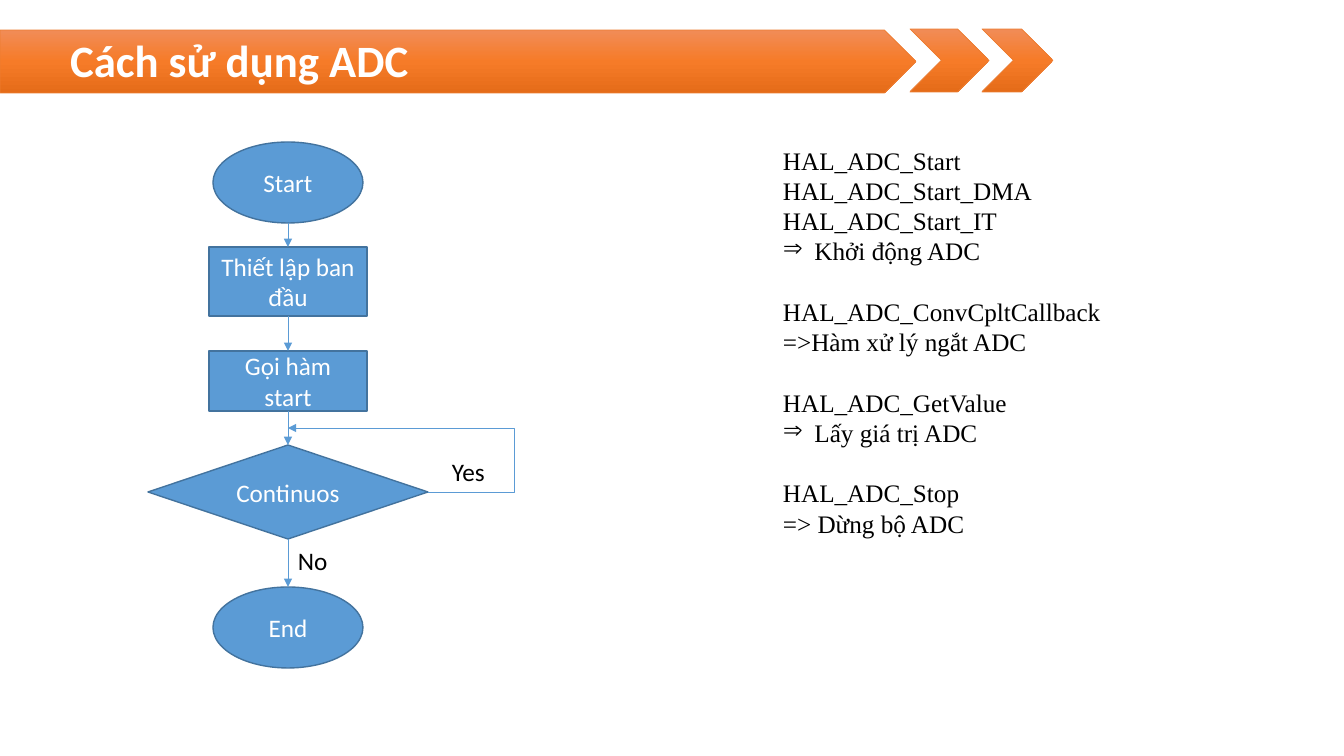
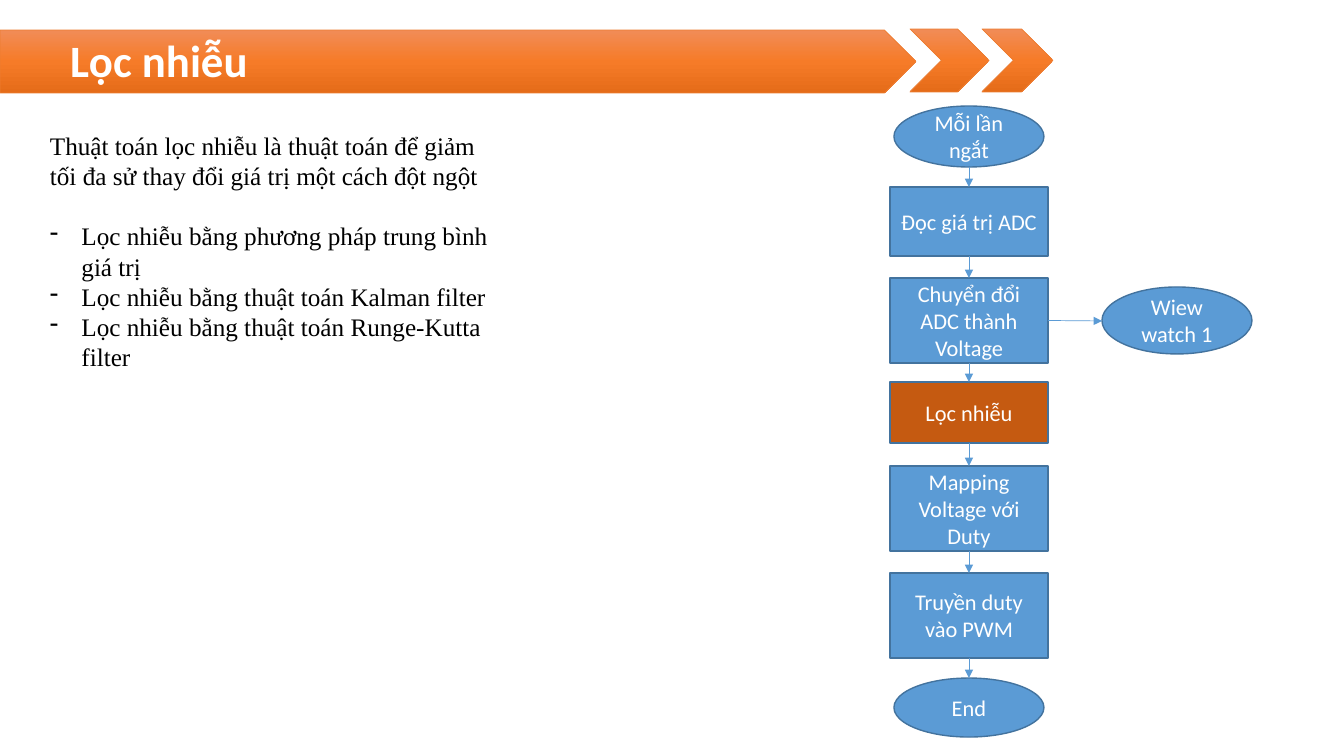
import copy

import pptx
import pptx.dml.color
import pptx.enum.shapes
import pptx.enum.text
import pptx.oxml
import pptx.oxml.ns
import pptx.util

RGB = pptx.dml.color.RGBColor
SHAPE = pptx.enum.shapes.MSO_SHAPE
CONNECTOR = pptx.enum.shapes.MSO_CONNECTOR
ALIGN = pptx.enum.text.PP_ALIGN
ANCHOR = pptx.enum.text.MSO_ANCHOR
Pt = pptx.util.Pt
qn = pptx.oxml.ns.qn

WHITE = RGB(0xFF, 0xFF, 0xFF)
BLACK = RGB(0, 0, 0)
BLUE = RGB(0x5B, 0x9B, 0xD5)
BLUE_EDGE = RGB(0x43, 0x73, 0x9E)
RUST = RGB(0xC5, 0x5A, 0x11)
ORANGE_EDGE = RGB(0xED, 0x7D, 0x31)
BAND_STOPS = [(0, RGB(0xF1, 0x8C, 0x57)), (0.5, RGB(0xF6, 0x7B, 0x28)), (1, RGB(0xE5, 0x6C, 0x19))]
BAND = [(SHAPE.PENTAGON, 0, 30, 916, 63), (SHAPE.CHEVRON, 910, 29, 79, 63), (SHAPE.CHEVRON, 982, 29, 71, 63)]

PX = 914400 / 100.8
NOTE_LINE = Pt(21.6)


def px(*lengths):
    return [round(length * PX) for length in lengths]


def write(paragraph, text, size, color, font="Calibri"):
    run = paragraph.add_run()
    run.text = text
    run.font.size = Pt(size)
    run.font.name = font
    run.font.color.rgb = color
    return run


adc_steps = [
    ("Start", SHAPE.OVAL, 288, 142, 150, 81, BLUE),
    ("Thiết lập ban đầu", SHAPE.RECTANGLE, 288, 247, 158, 69, BLUE),
    ("Gọi hàm start", SHAPE.RECTANGLE, 288, 351, 158, 60, BLUE),
    ("Continuos", SHAPE.FLOWCHART_DECISION, 288, 445, 280, 94, BLUE),
    ("End", SHAPE.OVAL, 288, 587, 150, 81, BLUE),
]
adc_notes = [
    ("", ["HAL_ADC_Start", "HAL_ADC_Start_DMA", "HAL_ADC_Start_IT"]),
    ("⇒", ["Khởi động ADC"]),
    ("gap", ["HAL_ADC_ConvCpltCallback"]),
    ("", ["=>Hàm xử lý ngắt ADC"]),
    ("gap", ["HAL_ADC_GetValue"]),
    ("⇒", ["Lấy giá trị ADC"]),
    ("gap", ["HAL_ADC_Stop"]),
    ("", ["=> Dừng bộ ADC"]),
]
filter_steps = [
    ("Mỗi lần ngắt", SHAPE.OVAL, 969, 106, 150, 61, BLUE),
    ("Đọc giá trị ADC", SHAPE.RECTANGLE, 969, 187, 158, 69, BLUE),
    ("Chuyển đổi ADC thành Voltage", SHAPE.RECTANGLE, 969, 278, 158, 85, BLUE),
    ("Lọc nhiễu", SHAPE.RECTANGLE, 969, 382, 158, 61, RUST),
    ("Mapping Voltage với Duty", SHAPE.RECTANGLE, 969, 466, 158, 85, BLUE),
    ("Truyền duty vào PWM", SHAPE.RECTANGLE, 969, 573, 158, 85, BLUE),
    ("End", SHAPE.OVAL, 969, 678, 150, 59, BLUE),
    ("Wiew watch 1", SHAPE.OVAL, 1177, 287, 150, 67, BLUE),
]
filter_notes = [
    ("", ["Thuật toán lọc nhiễu là thuật toán để giảm tối đa sử thay đổi giá trị một cách đột ngột"]),
    ("-", ["Lọc nhiễu bằng phương pháp trung bình giá trị", "Lọc nhiễu bằng thuật toán Kalman filter",
           "Lọc nhiễu bằng thuật toán Runge-Kutta filter"]),
]
pages = [
    ("Cách sử dụng ADC", 18, adc_steps, adc_notes, (773, 140, 465, 437),
     [("Yes", 442, 451), ("No", 288, 540)], [(CONNECTOR.ELBOW, 3, (428, 492, 288, 428))]),
    ("Lọc nhiễu", 16, filter_steps, filter_notes, (40, 125, 465, 285),
     [], [(CONNECTOR.STRAIGHT, 2, (1048, 321, 1102, 321))]),
]

deck = pptx.Presentation()
deck.slide_width, deck.slide_height = px(1344, 756)

for title_text, step_size, steps, notes, notes_place, answers, side_arrows in pages:
    slide = deck.slides.add_slide(deck.slide_layouts[5])
    shapes = slide.shapes

    for outline, *place in BAND:
        band = shapes.add_shape(outline, *px(*place))
        band.shadow.inherit = False
        band.fill.gradient()
        band.fill.gradient_angle = 270
        stop_list = band._element.spPr.find(".//" + qn("a:gsLst"))
        stop_list.insert(1, copy.deepcopy(stop_list[0]))
        for stop, (position, color) in zip(band.fill.gradient_stops, BAND_STOPS):
            stop.position = position
            stop.color.rgb = color
        band.line.color.rgb = ORANGE_EDGE
        band.line.width = Pt(0.5)

    title = shapes.title
    title.left, title.top, title.width, title.height = px(60, 28, 800, 65)
    title.text_frame.auto_size = pptx.enum.text.MSO_AUTO_SIZE.NONE
    title.text_frame.vertical_anchor = ANCHOR.TOP
    heading = title.text_frame.paragraphs[0]
    heading.alignment = ALIGN.LEFT
    write(heading, title_text, 32, WHITE).font.bold = True
    title._element.getparent().append(title._element)

    note_frame = shapes.add_textbox(*px(*notes_place)).text_frame
    note_frame.word_wrap = True
    note = note_frame.paragraphs[0]
    for marker, lines in notes:
        for index, line in enumerate(lines):
            if note.runs:
                note = note_frame.add_paragraph()
            note.line_spacing = NOTE_LINE
            if marker == "gap" or (marker == "-" and index == 0):
                note.space_before = NOTE_LINE
            if marker in ("⇒", "-"):
                properties = note._p.get_or_add_pPr()
                properties.set("marL", "285750")
                properties.set("indent", "-285750")
                bullet = pptx.oxml.ns.nsdecls("a")
                properties.append(pptx.oxml.parse_xml(f'<a:buChar {bullet} char="{marker}"/>'))
            write(note, line, 18, BLACK, "Times New Roman")

    boxes = []
    for text, outline, center, top, width, height, color in steps:
        box = shapes.add_shape(outline, *px(center - width / 2, top, width, height))
        box.shadow.inherit = False
        box.fill.solid()
        box.fill.fore_color.rgb = color
        box.line.color.rgb = BLUE_EDGE
        box.line.width = Pt(1)
        box.text_frame.word_wrap = True
        box.text_frame.vertical_anchor = ANCHOR.MIDDLE
        label = box.text_frame.paragraphs[0]
        label.alignment = ALIGN.CENTER
        write(label, text, step_size, WHITE)
        boxes.append(box)

    arrows = []
    for index, (upper, lower) in enumerate(zip(steps, steps[1:])):
        if upper[2] == lower[2]:
            ends = px(upper[2], upper[3] + upper[5], lower[2], lower[3])
            arrow = shapes.add_connector(CONNECTOR.STRAIGHT, *ends)
            if upper[1] != SHAPE.OVAL:
                arrow.begin_connect(boxes[index], 2)
            arrow.end_connect(boxes[index + 1], 0)
            arrows.append(arrow)
    for route, source, ends in side_arrows:
        arrow = shapes.add_connector(route, *px(*ends))
        arrow.begin_connect(boxes[source], 3)
        if route == CONNECTOR.ELBOW:
            bend = arrow._element.spPr.find(".//" + qn("a:avLst"))
            bend.append(bend.makeelement(qn("a:gd"), {"name": "adj1", "fmla": "val -61900"}))
        arrows.append(arrow)
    for arrow in arrows:
        arrow.line.color.rgb = BLUE
        arrow.line.width = Pt(0.5)
        line = arrow.line._get_or_add_ln()
        line.append(line.makeelement(qn("a:tailEnd"), {"type": "triangle"}))
        properties = arrow._element.spPr
        properties.append(properties.makeelement(qn("a:effectLst"), {}))

    for text, left, top in answers:
        answer = shapes.add_textbox(*px(left, top, 53, 40)).text_frame
        answer.word_wrap = False
        write(answer.paragraphs[0], text, 18, BLACK)

deck.save("out.pptx")
